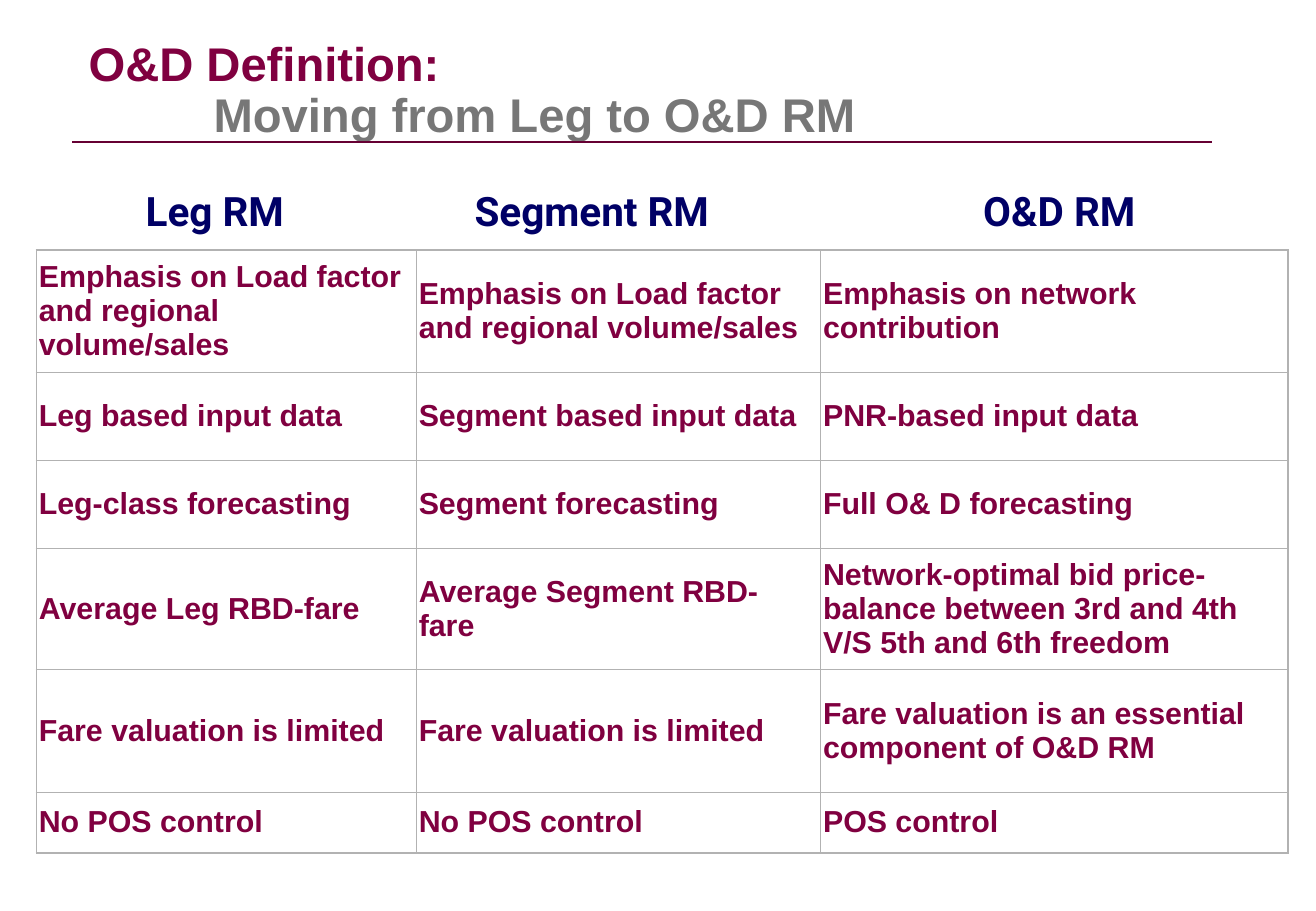
from dataclasses import dataclass

from lxml import etree
from pptx import Presentation
from pptx import util as u
from pptx.dml.color import RGBColor
from pptx.enum import shapes, text
from pptx.oxml import ns


@dataclass(frozen=True)
class Theme:
    """Colours, fonts, type sizes and line widths of the slide."""
    maroon: str = "800040"
    gray: str = "777777"
    navy: str = "000066"
    rule: str = "660033"
    border: str = "B2B2B2"
    body_font: str = "Arial"
    heading_font: str = "Roboto"
    title_size: float = 28
    heading_size: float = 24
    cell_size: float = 18
    rule_width: float = 0.75
    outer_width: float = 1.08
    inner_width: float = 0.23


THEME = Theme()
COLUMNS, ROWS = 1084, 750
WIDTH, HEIGHT = u.Inches(10.84), u.Inches(7.5)

TITLE_BOX = (63, 42, 722, 67)
RULE_BOX = (59, 117, 939, 0)
HEADING_BOXES = {
    "Leg RM": (116, 153, 122, 40),
    "Segment RM": (377, 153, 221, 40),
    "O&D RM": (782, 153, 181, 40),
}
TABLE_BOX = (30, 206, 1031, 496)
COLUMN_SHARES = (313, 333, 385)
ROW_SHARES = (100, 73, 72, 100, 101, 50)
COMPARISON = (
    ("Emphasis on Load factor and regional volume/sales",
     "Emphasis on Load factor and regional volume/sales",
     "Emphasis on network contribution"),
    ("Leg based input data", "Segment based input data", "PNR-based input data"),
    ("Leg-class forecasting", "Segment forecasting", "Full O& D forecasting"),
    ("Average Leg RBD-fare", "Average Segment RBD-fare",
     "Network-optimal bid price-balance between 3rd and 4th V/S 5th and 6th freedom"),
    ("Fare valuation is limited", "Fare valuation is limited",
     "Fare valuation is an essential component of O&D RM"),
    ("No POS control", "No POS control", "POS control"),
)


def grid(box):
    """Turn grid columns and rows into slide lengths."""
    left, top, width, height = box
    return (u.Emu(WIDTH * left // COLUMNS), u.Emu(HEIGHT * top // ROWS),
            u.Emu(WIDTH * width // COLUMNS), u.Emu(HEIGHT * height // ROWS))


def write(paragraph, words, *, size, color, font=THEME.body_font,
          align=text.PP_ALIGN.LEFT):
    """Add a bold run of words to a paragraph."""
    paragraph.alignment = align
    run = paragraph.add_run()
    run.text = words
    run.font.name = font
    run.font.size = u.Pt(size)
    run.font.bold = True
    run.font.color.rgb = RGBColor.from_string(color)


def set_tab(paragraph, position):
    """Give a paragraph one left tab stop."""
    stops = etree.SubElement(paragraph._p.get_or_add_pPr(), ns.qn("a:tabLst"))
    etree.SubElement(stops, ns.qn("a:tab"), pos=str(position), algn="l")


def set_border(cell, side, width):
    """Draw one side of a table cell."""
    properties = cell._tc.get_or_add_tcPr()
    line = etree.SubElement(properties, ns.qn(f"a:ln{side}"), w=str(u.Pt(width)))
    fill = etree.SubElement(line, ns.qn("a:solidFill"))
    etree.SubElement(fill, ns.qn("a:srgbClr"), val=THEME.border)


def add_title(slide, box):
    """Fill the title with a heading and an indented second line."""
    title = slide.shapes.title
    title.left, title.top, title.width, title.height = grid(box)
    frame = title.text_frame
    frame.auto_size = text.MSO_AUTO_SIZE.NONE
    frame.vertical_anchor = text.MSO_ANCHOR.MIDDLE
    paragraph = frame.paragraphs[0]
    paragraph.line_spacing = 0.9
    set_tab(paragraph, u.Inches(1.03))
    write(paragraph, "O&D Definition:", size=THEME.title_size, color=THEME.maroon)
    paragraph.add_line_break()
    write(paragraph, "\tMoving from Leg to O&D RM", size=THEME.title_size,
          color=THEME.gray)


def add_rule(slide, box):
    """Draw the line under the title."""
    left, top, width, height = grid(box)
    rule = slide.shapes.add_connector(shapes.MSO_CONNECTOR.STRAIGHT,
                                      left + width, top, left, top + height)
    rule.line.color.rgb = RGBColor.from_string(THEME.rule)
    rule.line.width = u.Pt(THEME.rule_width)
    etree.SubElement(rule._element.spPr, ns.qn("a:effectLst"))


def add_heading(slide, box, words):
    """Place one column heading."""
    frame = slide.shapes.add_textbox(*grid(box)).text_frame
    frame.margin_left = frame.margin_right = 0
    frame.margin_top = frame.margin_bottom = 0
    frame.word_wrap = False
    write(frame.paragraphs[0], words, size=THEME.heading_size, color=THEME.navy,
          font=THEME.heading_font, align=text.PP_ALIGN.CENTER)


def add_comparison(slide, box):
    """Build the comparison table with a heavier outer frame."""
    left, top, width, height = grid(box)
    last_row, last_column = len(ROW_SHARES) - 1, len(COLUMN_SHARES) - 1
    table = slide.shapes.add_table(last_row + 1, last_column + 1,
                                   left, top, width, height).table
    table.first_row = table.horz_banding = False
    for column, share in zip(table.columns, COLUMN_SHARES):
        column.width = u.Emu(width * share // sum(COLUMN_SHARES))
    for row, share in zip(table.rows, ROW_SHARES):
        row.height = u.Emu(height * share // sum(ROW_SHARES))
    for r, entries in enumerate(COMPARISON):
        for c, words in enumerate(entries):
            cell = table.cell(r, c)
            cell.margin_left, cell.margin_right = u.Inches(0.02), u.Inches(0.1)
            cell.margin_top = cell.margin_bottom = u.Inches(0.05)
            cell.vertical_anchor = text.MSO_ANCHOR.MIDDLE
            outer = {"L": c == 0, "R": c == last_column,
                     "T": r == 0, "B": r == last_row}
            for side, is_outer in outer.items():
                set_border(cell, side,
                           THEME.outer_width if is_outer else THEME.inner_width)
            cell.fill.background()
            write(cell.text_frame.paragraphs[0], words, size=THEME.cell_size,
                  color=THEME.maroon)


def main():
    """Build and save the slide."""
    deck = Presentation()
    deck.slide_width, deck.slide_height = WIDTH, HEIGHT
    slide = deck.slides.add_slide(deck.slide_layouts.get_by_name("Title Only"))
    add_rule(slide, RULE_BOX)
    add_title(slide, TITLE_BOX)
    for words, box in HEADING_BOXES.items():
        add_heading(slide, box, words)
    add_comparison(slide, TABLE_BOX)
    deck.save("out.pptx")


if __name__ == "__main__":
    main()
